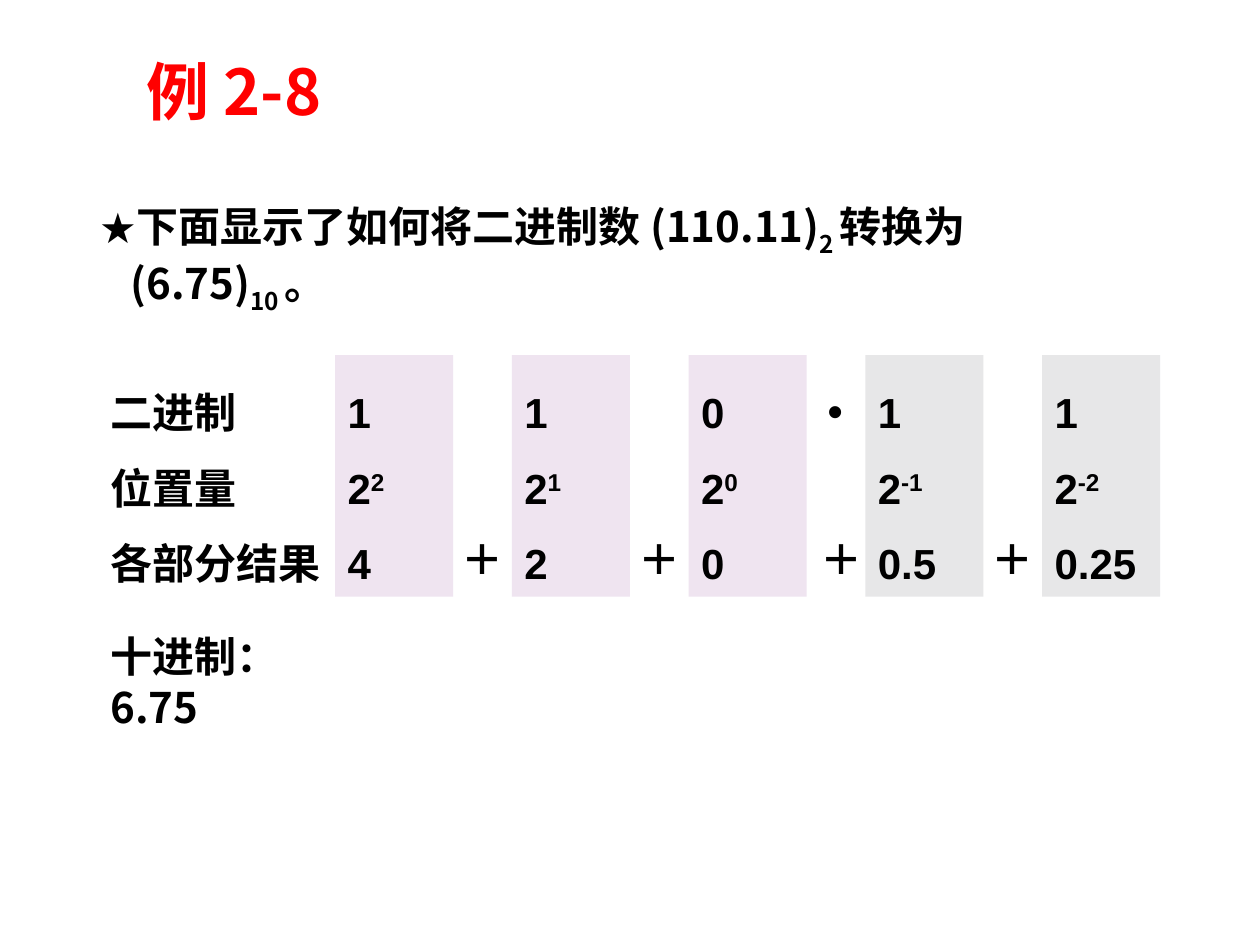
import dataclasses

import lxml.etree
import pptx
import pptx.dml.color
import pptx.enum.shapes
import pptx.enum.text
import pptx.oxml.ns
import pptx.util

Pt = pptx.util.Pt
Align = pptx.enum.text.PP_ALIGN
Anchor = pptx.enum.text.MSO_ANCHOR
AutoSize = pptx.enum.text.MSO_AUTO_SIZE


@dataclasses.dataclass(frozen=True)
class Theme:
    title_color: str = "FF0000"
    text_color: str = "000000"
    whole_fill: str = "EFE4F0"
    fraction_fill: str = "E7E7E8"
    title_size: int = 36
    text_size: int = 24
    cjk_font: str = "Noto Sans CJK SC"
    digit_font: str = "Arial"
    plus_font: str = "Calibri"


THEME = Theme()
GRID_TOP, GRID_HEIGHT = 203, 138
COLUMN_LEFT, COLUMN_WIDTH, COLUMN_PITCH = 191.5, 67.5, 101
LABEL_LEFT = 56
COLUMNS = [
    ("1", "2", "4", THEME.whole_fill),
    ("1", "1", "2", THEME.whole_fill),
    ("0", "0", "0", THEME.whole_fill),
    ("1", "-1", "0.5", THEME.fraction_fill),
    ("1", "-2", "0.25", THEME.fraction_fill),
]


def child(parent, tag, **attributes):
    return lxml.etree.SubElement(parent, pptx.oxml.ns.qn(tag), **attributes)


def add_span(para, text, *, size, color, font, baseline=0):
    span = para.add_run()
    span.text = text
    span.font.size = Pt(size)
    span.font.bold = True
    span.font.name = font
    span.font.color.rgb = pptx.dml.color.RGBColor.from_string(color)
    properties = span.font._element
    child(properties, "a:ea", typeface=THEME.cjk_font)
    if baseline:
        properties.set("baseline", str(baseline * 1000))


def write(box, lines, *, size=THEME.text_size, color=THEME.text_color,
          font=THEME.digit_font, align=Align.LEFT, spacing=1.0, after=0,
          anchor=Anchor.TOP, wrap=False, fit=AutoSize.NONE, bullet=None):
    frame = box.text_frame
    frame.word_wrap = wrap
    frame.auto_size = fit
    frame.vertical_anchor = anchor
    for index, line in enumerate(lines):
        para = frame.paragraphs[0] if index == 0 else frame.add_paragraph()
        if bullet:
            properties = para._p.get_or_add_pPr()
            properties.set("marL", str(Pt(18)))
            properties.set("indent", str(-Pt(18)))
            child(properties, "a:buChar", char=bullet)
        para.alignment = align
        para.line_spacing = spacing
        para.space_before = Pt(0)
        para.space_after = Pt(after)
        spans = [(line, 0)] if isinstance(line, str) else line
        for text, baseline in spans:
            add_span(para, text, size=size, color=color, font=font,
                     baseline=baseline)


def place(box, left, top, width, height):
    box.left, box.top = Pt(left), Pt(top)
    box.width, box.height = Pt(width), Pt(height)
    return box


def add_label(page, lines, left, top, width, height, **style):
    box = page.shapes.add_textbox(Pt(left), Pt(top), Pt(width), Pt(height))
    write(box, lines, fit=AutoSize.SHAPE_TO_FIT_TEXT, **style)


def add_column(page, left, digit, power, value, fill):
    box = page.shapes.add_shape(
        pptx.enum.shapes.MSO_SHAPE.RECTANGLE,
        Pt(left), Pt(GRID_TOP), Pt(COLUMN_WIDTH), Pt(GRID_HEIGHT))
    box.shadow.inherit = False
    box.fill.solid()
    box.fill.fore_color.rgb = pptx.dml.color.RGBColor.from_string(fill)
    box.line.fill.background()
    write(box, [digit, [("2", 0), (power, 30)], value], spacing=1.5)


def add_plus(page, gap, width=39, wrap=False):
    center = (COLUMN_LEFT + gap * COLUMN_PITCH
              + (COLUMN_WIDTH + COLUMN_PITCH) / 2)
    add_label(page, ["＋"], center - width / 2, 301.5, width, 36,
              font=THEME.plus_font, align=Align.CENTER, wrap=wrap)


def main():
    deck = pptx.Presentation()
    deck.slide_width, deck.slide_height = Pt(720), Pt(540)
    page = deck.slides.add_slide(deck.slide_layouts[1])

    title = place(page.shapes.title, 76.5, 31, 566.5, 47)
    write(title, ["例 2-8"], size=THEME.title_size, color=THEME.title_color,
          font=THEME.cjk_font, spacing=0.9, anchor=Anchor.MIDDLE, wrap=True)

    body = place(page.placeholders[1], 49.5, 111, 620.5, 375)
    statement = [("下面显示了如何将二进制数 (110.11)", 0), ("2 ", -25),
                 ("转换为 (6.75)", 0), ("10 ", -25), ("。", 0)]
    write(body, [statement], font=THEME.cjk_font, after=12, wrap=True,
          bullet="★")

    for index, column in enumerate(COLUMNS):
        add_column(page, COLUMN_LEFT + index * COLUMN_PITCH, *column)
    for gap in (0, 1, 3):
        add_plus(page, gap)
    add_plus(page, 2, width=32.5, wrap=True)

    add_label(page, ["二进制", "位置量", "各部分结果"], LABEL_LEFT, GRID_TOP,
              135.5, GRID_HEIGHT, spacing=1.5)
    add_label(page, ["•"], 466, 216, 24.5, 36)
    add_label(page, ["十进制：6.75"], LABEL_LEFT, 357, 157.5, 36,
              font=THEME.cjk_font, wrap=True)
    deck.save("out.pptx")


if __name__ == "__main__":
    main()
